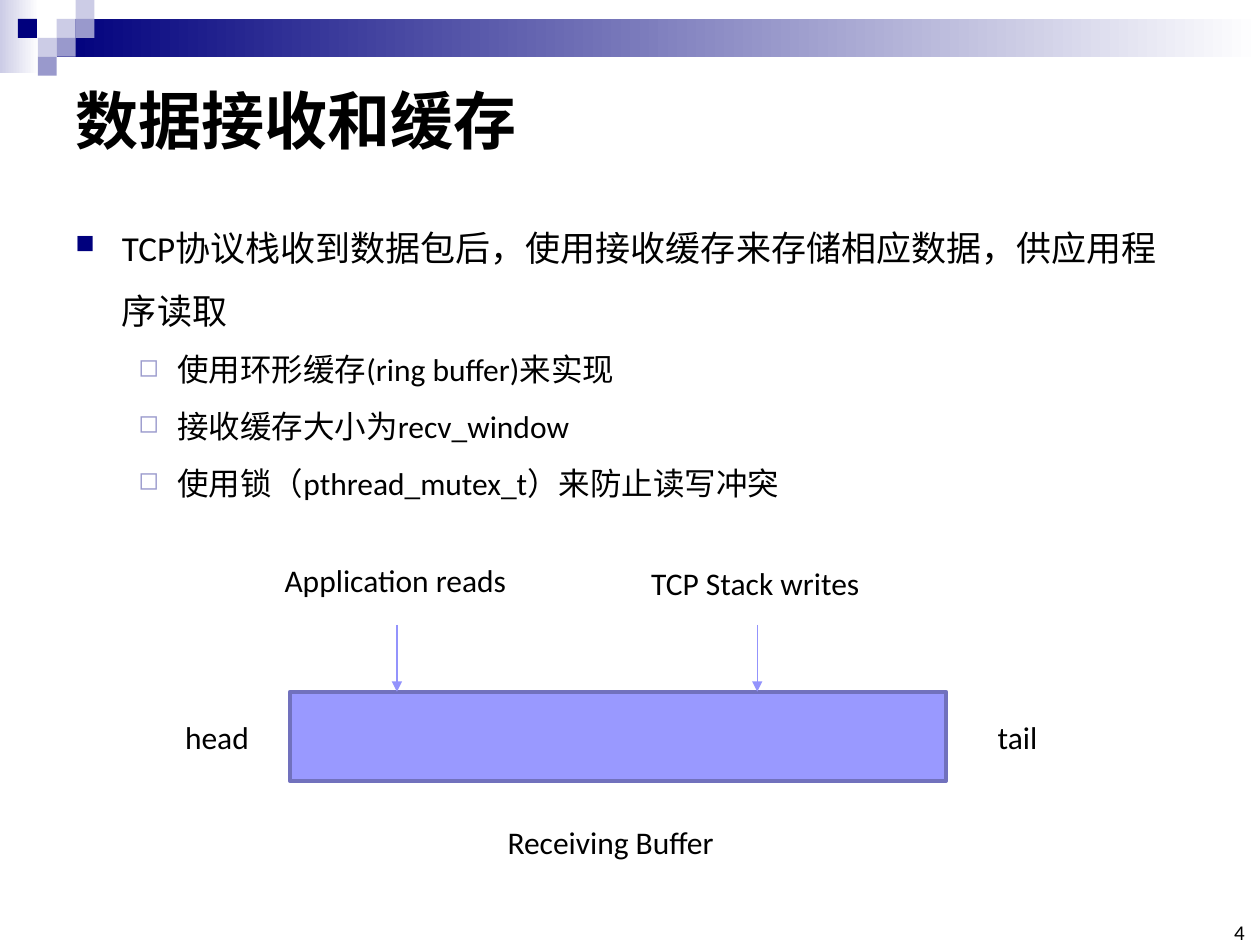
import pptx
import pptx.util
import pptx.dml.color
import pptx.enum.shapes
import pptx.enum.text
import pptx.oxml
import pptx.oxml.ns
import lxml.etree

Inches = pptx.util.Inches
Pt = pptx.util.Pt
Align = pptx.enum.text.PP_ALIGN
Anchor = pptx.enum.text.MSO_ANCHOR
COLORS = {
    "navy": "00007D", "mid": "9999CC", "pale": "CCCCE6", "white": "FFFFFF",
    "black": "000000", "fill": "9999FF", "edge": "7171BD", "arrow": "9393FC",
}


class Deck:
    """Style and current slide, with one method for each kind of element."""

    font = "Calibri"

    def __init__(self):
        self.prs = pptx.Presentation()
        self.prs.slide_width = Inches(10)
        self.prs.slide_height = Inches(7.5)
        self.slide = self.prs.slides.add_slide(self.prs.slide_layouts[6])

    def color(self, name):
        return pptx.dml.color.RGBColor.from_string(COLORS[name])

    def node(self, parent, tag, **attrs):
        child = lxml.etree.SubElement(parent, pptx.oxml.ns.qn(tag))
        for key, value in attrs.items():
            child.set(key, value)
        return child

    def rect(self, box, fill, fade=False, edge=None):
        kind = pptx.enum.shapes.MSO_SHAPE.RECTANGLE
        shape = self.slide.shapes.add_shape(kind, *map(Inches, box))
        shape.shadow.inherit = False
        if fade:
            shape.fill.gradient()
            shape.fill.gradient_angle = 0
            for stop, name, place in zip(shape.fill.gradient_stops, (fill, "white"), (0, 1)):
                stop.color.rgb = self.color(name)
                stop.position = place
        else:
            shape.fill.solid()
            shape.fill.fore_color.rgb = self.color(fill)
        if edge:
            shape.line.color.rgb = self.color(edge)
            shape.line.width = Pt(2)
        else:
            shape.line.fill.background()

    def style(self, para, size, bold=False):
        for run in para.runs:
            run.font.name = self.font
            run.font.size = Pt(size)
            run.font.bold = bold
            run.font.color.rgb = self.color("black")
            self.node(run.font._element, "a:ea", typeface=self.font)

    def text(self, box, words, size=18, bold=False, wrap=False, anchor=Anchor.TOP,
             align=Align.LEFT, inset=None):
        frame = self.slide.shapes.add_textbox(*map(Inches, box)).text_frame
        frame.word_wrap = wrap
        frame.vertical_anchor = anchor
        if inset is not None:
            frame.margin_left = frame.margin_right = Inches(inset)
            frame.margin_top = frame.margin_bottom = Inches(inset)
        frame.text = words
        for para in frame.paragraphs:
            para.alignment = align
            self.style(para, size, bold)
        return frame

    def bullet(self, para, level):
        left, hang, size, tint, mark, scale = (
            (0.37, 0.37, 20, "navy", "\u25a0", 75),
            (0.81, 0.31, 18, "mid", "\u25fb", 80),
        )[level]
        para.level = level
        para.line_spacing = 1.5
        self.style(para, size)
        props = para._p.get_or_add_pPr()
        props.set("marL", str(Inches(left)))
        props.set("indent", str(-Inches(hang)))
        self.node(self.node(props, "a:buClr"), "a:srgbClr", val=COLORS[tint])
        self.node(props, "a:buSzPct", val=str(scale * 1000))
        self.node(props, "a:buChar", char=mark)

    def bullets(self, box, items):
        frame = self.text(box, "\n".join(words for level, words in items), wrap=True)
        for para, (level, words) in zip(frame.paragraphs, items):
            self.bullet(para, level)

    def arrow(self, x, top, end):
        kind = pptx.enum.shapes.MSO_CONNECTOR.STRAIGHT
        line = self.slide.shapes.add_connector(kind, *map(Inches, (x, top, x, end)))
        line.line.color.rgb = self.color("arrow")
        line.line.width = Pt(0.75)
        self.node(line.line._get_or_add_ln(), "a:tailEnd", type="triangle")
        self.node(line._element.spPr, "a:effectLst")


deck = Deck()

deck.rect((0, 0, 0.31, 0.58), "pale", fade=True)
deck.rect((0.45, 0.15, 9.55, 0.3), "navy", fade=True)
tile = 0.15
for col, row, tint in (
    (3, 1, "pale"), (4, 0, "pale"), (4, 1, "mid"), (2, 2, "pale"),
    (0.95, 1, "navy"), (3, 2, "mid"), (2, 3, "mid"),
):
    deck.rect((col * tile, row * tile, tile, tile), tint)

deck.text((0.5, 0.5, 9, 0.89), "数据接收和缓存", 36, bold=True, wrap=True, anchor=Anchor.MIDDLE)
deck.bullets((0.5, 1.58, 9, 5.51), (
    (0, "TCP协议栈收到数据包后，使用接收缓存来存储相应数据，供应用程序读取"),
    (1, "使用环形缓存(ring buffer)来实现"),
    (1, "接收缓存大小为recv_window"),
    (1, "使用锁（pthread_mutex_t）来防止读写冲突"),
))

deck.rect((2.3, 5.49, 5.21, 0.71), "fill", edge="edge")
for x in (3.15, 6.01):
    deck.arrow(x, 4.96, 5.49)
for left, top, width, words in (
    (3.93, 6.48, 1.86, "Receiving Buffer"),
    (1.37, 5.65, 0.72, "head"),
    (7.82, 5.65, 0.52, "tail"),
    (2.16, 4.4, 1.98, "Application reads"),
    (5.07, 4.43, 1.87, "TCP Stack writes"),
):
    deck.text((left, top, width, 0.4), words)

deck.text((9.65, 7.33, 0.23, 0.17), "4", 12, wrap=True, anchor=Anchor.BOTTOM,
          align=Align.RIGHT, inset=0)

deck.prs.save("out.pptx")
